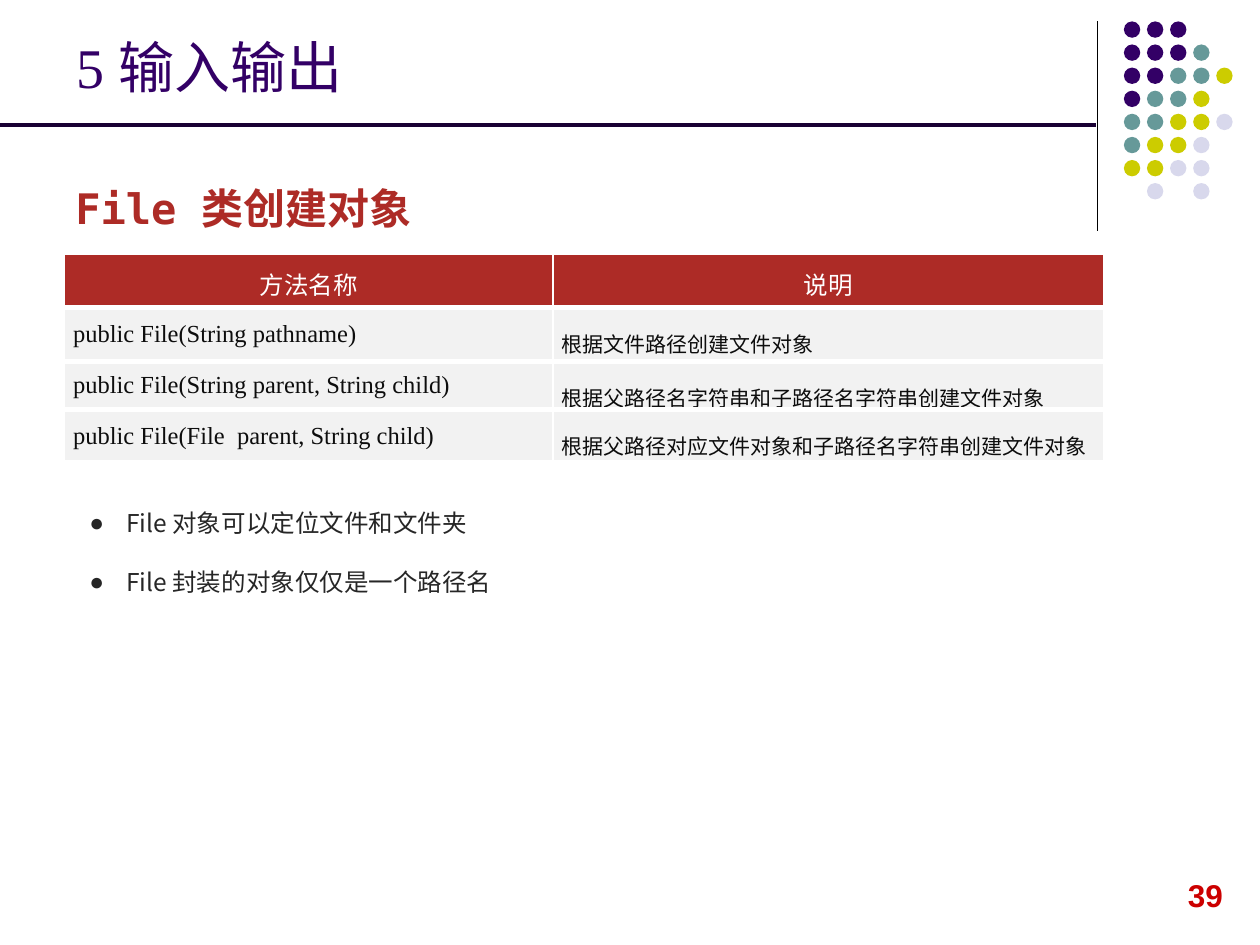
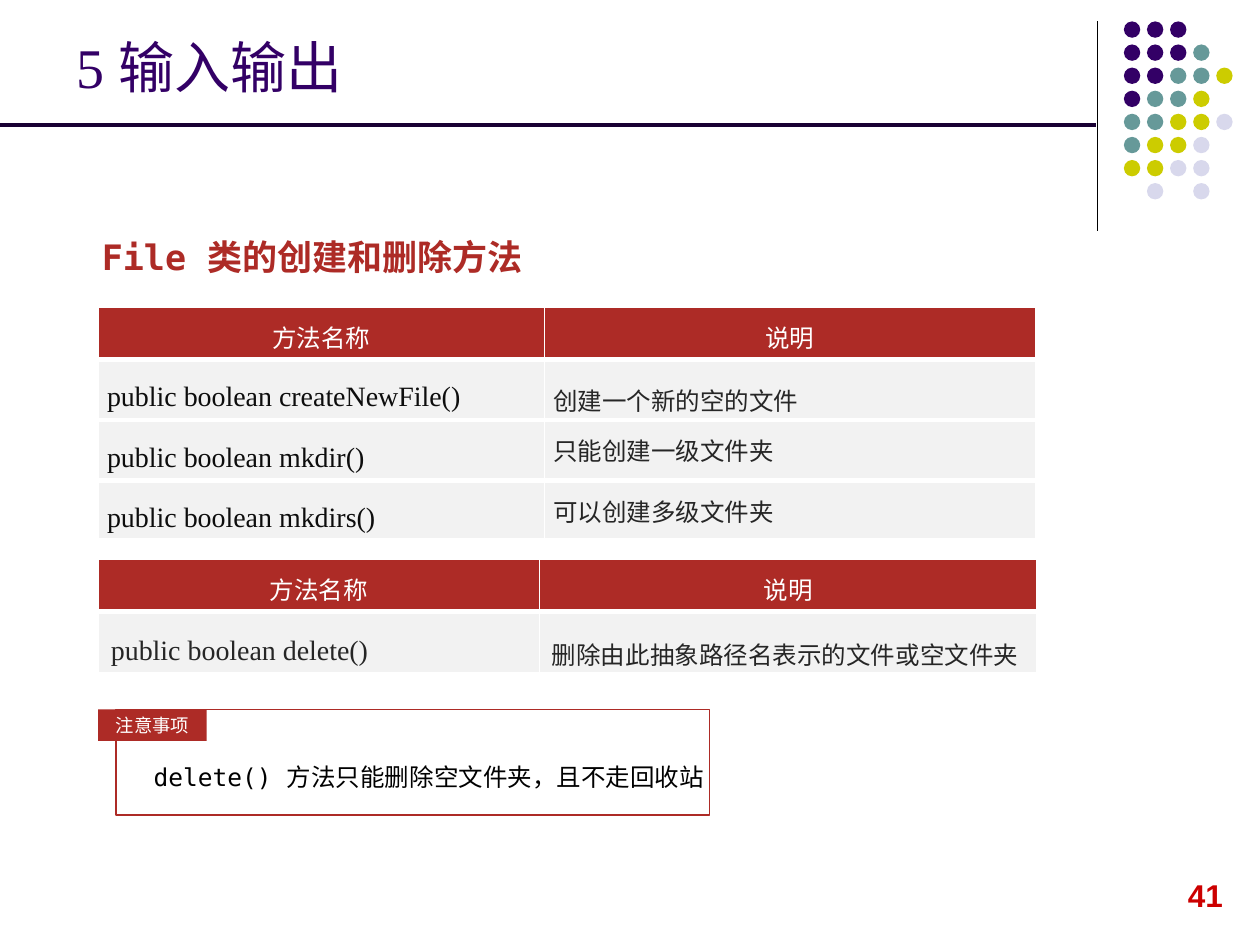
"""Build two lecture slides on creating and deleting objects with the Java File class."""
import lxml.etree
import pptx
import pptx.dml.color
import pptx.enum.shapes
import pptx.enum.text
import pptx.oxml
import pptx.oxml.ns
import pptx.util

Inches = pptx.util.Inches
Pt = pptx.util.Pt
RGBColor = pptx.dml.color.RGBColor
qn = pptx.oxml.ns.qn
MSO_SHAPE = pptx.enum.shapes.MSO_SHAPE
MSO_ANCHOR = pptx.enum.text.MSO_ANCHOR
PP_ALIGN = pptx.enum.text.PP_ALIGN

PURPLE = RGBColor(0x33, 0x00, 0x66)
RULE_PURPLE = RGBColor(0x19, 0x00, 0x33)
TEAL = RGBColor(0x66, 0x99, 0x99)
OLIVE = RGBColor(0xCC, 0xCC, 0x00)
LAVENDER = RGBColor(0xD8, 0xD8, 0xEC)
RED = RGBColor(0xAD, 0x2B, 0x26)
NUMBER_RED = RGBColor(0xCC, 0x00, 0x00)
NEAR_BLACK = RGBColor(0x0D, 0x0D, 0x0D)
DARK_GRAY = RGBColor(0x26, 0x26, 0x26)
LIGHT_GRAY = RGBColor(0xF2, 0xF2, 0xF2)
BLACK = RGBColor(0x00, 0x00, 0x00)
WHITE = RGBColor(0xFF, 0xFF, 0xFF)

SERIF = "Times New Roman"
MONO = "DejaVu Sans Mono"
CJK_JP = "Noto Sans CJK JP"
CJK_SC = "Noto Sans CJK SC"
LABEL_FONT = "Lato"

DOT_COLORS = {"P": PURPLE, "T": TEAL, "Y": OLIVE, "L": LAVENDER}
DOT_ROWS = ["PPP", "PPPT", "PPTTY", "PTTY", "TTYYL", "TYYL", "YYLL", ".L.L"]
DOT_PITCH = 0.55 / 3
RULES = [
    ((8.71, 0.17), (8.71, 1.83), BLACK, 0.75),
    ((0, 0.99), (8.7, 0.99), RULE_PURPLE, 2.25),
]


def write_text(paragraph, text, font_name, size, color, bold=False, spacing=1.0):
    """Add one formatted run and set the paragraph's line spacing."""
    paragraph.line_spacing = spacing
    run = paragraph.add_run()
    run.text = text
    run.font.name = font_name
    run.font.size = Pt(size)
    run.font.bold = bold
    run.font.color.rgb = color
    if font_name.startswith("Noto"):
        east_asian = lxml.etree.SubElement(run.font._element, qn("a:ea"))
        east_asian.set("typeface", font_name)


def add_text_box(slide, left, top, width, height):
    """Add a wrapping text box and return its text frame."""
    box = slide.shapes.add_textbox(Inches(left), Inches(top), Inches(width), Inches(height))
    box.text_frame.word_wrap = True
    return box.text_frame


PAGES = [
    {
        "layout": 1, "number": "39",
        "heading": ("File 类创建对象", 24, (0.5, 1, 3.73, 0.79)),
        "tables": [{
            "at": (0.51, 2.02), "columns": (3.88, 4.37), "heights": (0.42, 0.43, 0.38, 0.42),
            "insets": (0.07, 0.04), "code": (14, NEAR_BLACK), "note": (CJK_JP, 12, NEAR_BLACK),
            "rows": [
                ("public File(String pathname)", 1.0, "根据文件路径创建文件对象", 1.5),
                ("public File(String parent, String child)", 1.0,
                 "根据父路径名字符串和子路径名字符串创建文件对象", 1.5),
                ("public File(File  parent, String child)", 1.0,
                 "根据父路径对应文件对象和子路径名字符串创建文件对象", 1.5),
            ],
        }],
    },
    {
        "layout": 5, "number": "41",
        "heading": ("File 类的创建和删除方法", 20, (0.71, 1.49, 3.84, 0.68)),
        "tables": [
            {
                "at": (0.78, 2.44), "columns": (3.54, 3.9), "heights": (0.37, 0.41, 0.31, 0.37),
                "insets": (0.07, 0.04), "code": (16, NEAR_BLACK), "note": (CJK_JP, 14, DARK_GRAY),
                "rows": [
                    ("public boolean createNewFile()", 1.5, "创建一个新的空的文件", 1.5),
                    ("public boolean mkdir()", 1.5, "只能创建一级文件夹", 1.0),
                    ("public boolean mkdirs()", 1.5, "可以创建多级文件夹", 1.0),
                ],
            },
            {
                "at": (0.78, 4.44), "columns": (3.5, 3.95), "heights": (0.35, 0.45),
                "insets": (0.1, 0.05), "code": (16, DARK_GRAY), "note": (CJK_SC, 14, DARK_GRAY),
                "rows": [
                    ("public boolean delete()", 1.5, "删除由此抽象路径名表示的文件或空文件夹", 1.5),
                ],
            },
        ],
    },
]

presentation = pptx.Presentation()
presentation.slide_width = Inches(10)
presentation.slide_height = Inches(7.5)

slides = []
for page in PAGES:
    slide = presentation.slides.add_slide(presentation.slide_layouts[page["layout"]])
    slides.append(slide)

    title = slide.shapes.title
    title.left, title.top, title.width, title.height = map(Inches, (0.51, 0.21, 8.25, 0.79))
    title.text_frame.auto_size = pptx.enum.text.MSO_AUTO_SIZE.NONE
    title.text_frame.vertical_anchor = MSO_ANCHOR.TOP
    paragraph = title.text_frame.paragraphs[0]
    paragraph.alignment = PP_ALIGN.LEFT
    write_text(paragraph, "5 输入输出", SERIF, 32, PURPLE)

    for start, end, color, width in RULES:
        rule = slide.shapes.add_connector(
            pptx.enum.shapes.MSO_CONNECTOR.STRAIGHT, *map(Inches, start + end))
        rule.line.color.rgb = color
        rule.line.width = Pt(width)
        lxml.etree.SubElement(rule._element.spPr, qn("a:effectLst"))

    dots = slide.shapes.add_group_shape()
    for row, letters in enumerate(DOT_ROWS):
        for column, letter in enumerate(letters):
            if letter in DOT_COLORS:
                dot = dots.shapes.add_shape(
                    MSO_SHAPE.OVAL, Inches(8.92 + column * DOT_PITCH),
                    Inches(0.17 + row * DOT_PITCH), Inches(0.13), Inches(0.13))
                dot.shadow.inherit = False
                dot.fill.solid()
                dot.fill.fore_color.rgb = DOT_COLORS[letter]
                dot.line.fill.background()

    number_frame = add_text_box(slide, 9.33, 6.9, 0.48, 0.4)
    number_frame.word_wrap = False
    write_text(number_frame.paragraphs[0], page["number"], "Arial", 18, NUMBER_RED, bold=True)

    heading, heading_size, heading_box = page["heading"]
    heading_frame = add_text_box(slide, *heading_box)
    write_text(heading_frame.paragraphs[0], heading, MONO, heading_size, RED, bold=True, spacing=2.0)

    for spec_table in page["tables"]:
        heights, columns = spec_table["heights"], spec_table["columns"]
        table = slide.shapes.add_table(
            len(heights), 2, *map(Inches, spec_table["at"]),
            Inches(sum(columns)), Inches(sum(heights))).table
        table.first_row = False
        table.horz_banding = False
        for column, width in enumerate(columns):
            table.columns[column].width = Inches(width)
        code_size, code_color = spec_table["code"]
        for row, height in enumerate(heights):
            table.rows[row].height = Inches(height)
            if row == 0:
                entries = [(text, LABEL_FONT, 14, WHITE, False, Pt(24)) for text in ("方法名称", "说明")]
                inset_x, inset_y = 0.07, 0.04
            else:
                code, code_spacing, note, note_spacing = spec_table["rows"][row - 1]
                entries = [(code, SERIF, code_size, code_color, False, code_spacing),
                           (note, *spec_table["note"], False, note_spacing)]
                inset_x, inset_y = spec_table["insets"]
            for column, entry in enumerate(entries):
                cell = table.cell(row, column)
                cell.vertical_anchor = MSO_ANCHOR.MIDDLE
                cell.margin_left = cell.margin_right = Inches(inset_x)
                cell.margin_top = cell.margin_bottom = Inches(inset_y)
                cell.fill.solid()
                cell.fill.fore_color.rgb = LIGHT_GRAY if row else RED
                paragraph = cell.text_frame.paragraphs[0]
                paragraph.alignment = PP_ALIGN.LEFT if row else PP_ALIGN.CENTER
                write_text(paragraph, *entry)
                borders = [("L", 1), ("R", 1), ("T", 3 if row else 1), ("B", 3)]
                for position, (side, points) in enumerate(borders):
                    border = lxml.etree.Element(qn(f"a:ln{side}"), w=str(Pt(points)))
                    border_fill = lxml.etree.SubElement(border, qn("a:solidFill"))
                    lxml.etree.SubElement(border_fill, qn("a:srgbClr"), val=str(WHITE))
                    cell._tc.get_or_add_tcPr().insert(position, border)

create_slide, delete_slide = slides

body = create_slide.placeholders[1]
body.left, body.top, body.width, body.height = map(Inches, (0.61, 3.75, 8.06, 0.97))
body.text_frame.auto_size = pptx.enum.text.MSO_AUTO_SIZE.NONE
for index, text in enumerate(["File 对象可以定位文件和文件夹", "File 封装的对象仅仅是一个路径名"]):
    paragraph = body.text_frame.add_paragraph() if index else body.text_frame.paragraphs[0]
    properties = paragraph._p.get_or_add_pPr()
    properties.set("marL", str(Inches(0.29)))
    properties.set("indent", str(Inches(-0.29)))
    lxml.etree.SubElement(properties, qn("a:buChar"), char="●")
    paragraph.space_before = Pt(0)
    write_text(paragraph, text, CJK_JP, 14, DARK_GRAY, spacing=2.0)

notice_frame = add_text_box(delete_slide, 1, 5.88, 4.94, 0.42)
notice_frame.margin_left = Inches(0.22)
write_text(notice_frame.paragraphs[0], "delete() 方法只能删除空文件夹，且不走回收站",
           MONO, 14, BLACK, spacing=1.5)

notice_border = delete_slide.shapes.add_shape(
    MSO_SHAPE.RECTANGLE, *map(Inches, (0.92, 5.63, 4.71, 0.84)))
notice_border.shadow.inherit = False
notice_border.fill.background()
notice_border.line.color.rgb = RED
notice_border.line.width = Pt(0.75)

notice_label = delete_slide.shapes.add_shape(
    MSO_SHAPE.RECTANGLE, *map(Inches, (0.78, 5.63, 0.86, 0.25)))
notice_label.shadow.inherit = False
notice_label.fill.solid()
notice_label.fill.fore_color.rgb = RED
notice_label.line.fill.background()
label_frame = notice_label.text_frame
label_frame.vertical_anchor = MSO_ANCHOR.MIDDLE
label_frame.margin_top = label_frame.margin_bottom = 0
label_frame.paragraphs[0].alignment = PP_ALIGN.CENTER
write_text(label_frame.paragraphs[0], "注意事项", LABEL_FONT, 10.5, WHITE)

presentation.save("out.pptx")
